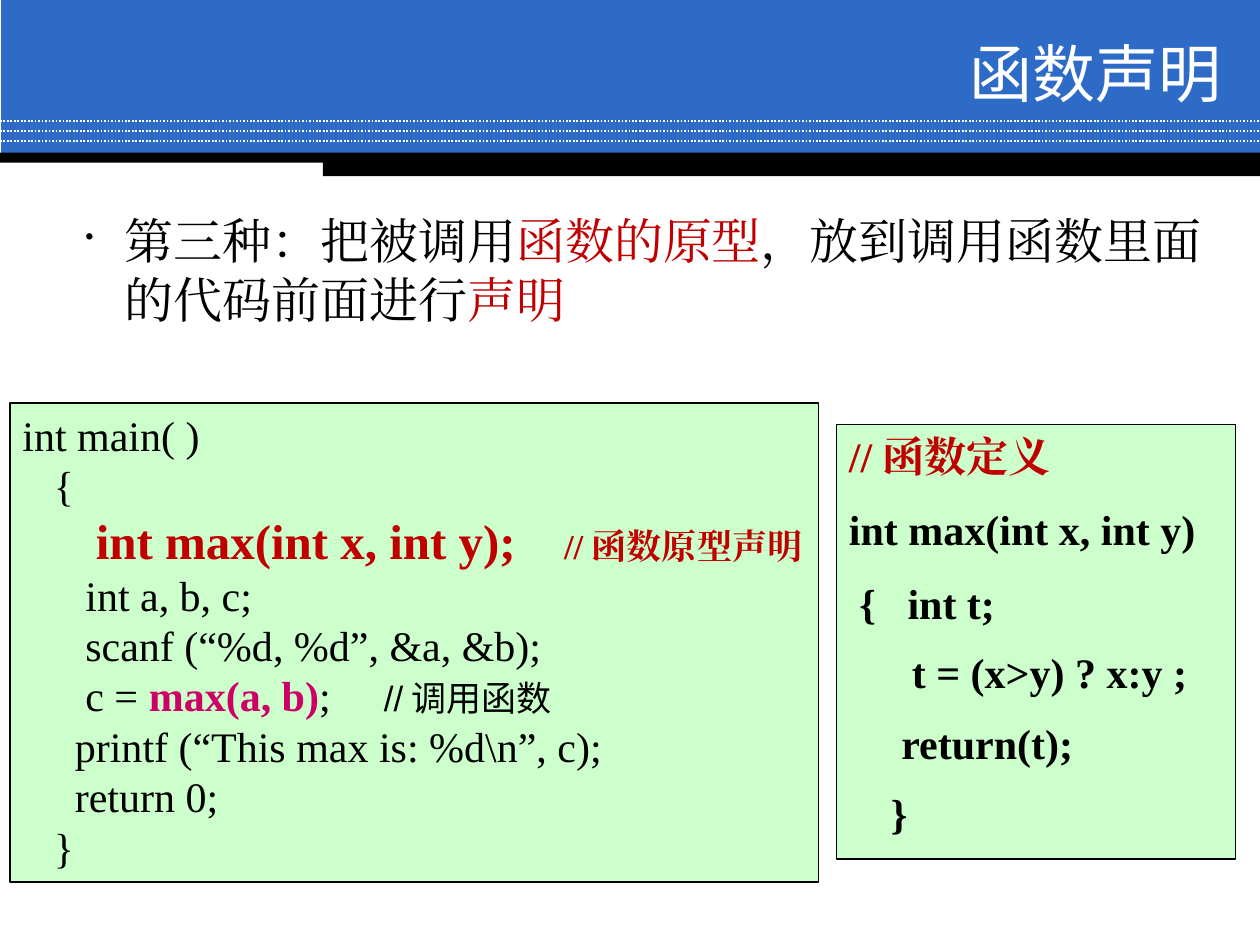
from lxml.etree import SubElement
from pptx import Presentation
from pptx.dml.color import RGBColor
from pptx.enum.dml import MSO_LINE
from pptx.enum.shapes import MSO_CONNECTOR, MSO_SHAPE
from pptx.enum.text import MSO_ANCHOR, PP_ALIGN
from pptx.oxml.ns import qn
from pptx.util import Pt

COLORS = {
    "banner": "2D6BC7", "white": "FFFFFF", "black": "000000",
    "code": "CCFFCC", "red": "C00000", "pink": "CC0066",
}
SERIF, SANS, CJK = "Times New Roman", "Arial", "Noto Sans CJK SC"


def rgb(name):
    return RGBColor.from_string(COLORS[name])


def add_run(paragraph, text, size=24, color="black", bold=False, font=SERIF):
    run = paragraph.add_run()
    run.text = text
    run.font.size = Pt(size)
    run.font.bold = bold
    run.font.color.rgb = rgb(color)
    run.font.name = font
    # East Asian characters follow the same font as the Latin ones
    SubElement(run.font._element, qn("a:ea"), typeface=font)


def add_rect(slide, left, top, width, height, fill, outline=None):
    rect = slide.shapes.add_shape(
        MSO_SHAPE.RECTANGLE, Pt(left), Pt(top), Pt(width), Pt(height))
    rect.shadow.inherit = False
    rect.fill.solid()
    rect.fill.fore_color.rgb = rgb(fill)
    if outline:
        rect.line.color.rgb = rgb(outline)
        rect.line.width = Pt(1)
    else:
        rect.line.fill.background()
    return rect


def add_text_frame(slide, left, top, width, height):
    frame = slide.shapes.add_textbox(
        Pt(left), Pt(top), Pt(width), Pt(height)).text_frame
    frame.word_wrap = True
    return frame


def add_tab(paragraph, position):
    tabs = SubElement(paragraph._p.get_or_add_pPr(), qn("a:tabLst"))
    SubElement(tabs, qn("a:tab"), pos=str(Pt(position)), algn="l")


def add_banner(slide, left, top, width, height):
    add_rect(slide, left + 0.7, top, width - 0.7, height, "banner")
    for row in range(3):
        y = top + 69.2 + row * 5.7
        dots = slide.shapes.add_connector(
            MSO_CONNECTOR.STRAIGHT, Pt(left), Pt(y), Pt(left + width), Pt(y))
        dots.line.color.rgb = rgb("white")
        dots.line.width = Pt(1)
        dots.line.dash_style = MSO_LINE.ROUND_DOT
        SubElement(dots._element.spPr, qn("a:effectLst"))
    add_rect(slide, left, top + 87.3, width, 5.6, "black")
    add_rect(slide, left + 184.5, top + 89.3, width - 184.5, 11.4, "black")


def add_title(slide, left, top, width, height):
    frame = add_text_frame(slide, left, top, width, height)
    frame.vertical_anchor = MSO_ANCHOR.MIDDLE
    title = frame.paragraphs[0]
    title.alignment = PP_ALIGN.RIGHT
    add_run(title, "函数声明", size=36, color="white", font=CJK)


def add_explanation(slide, left, top, width, height):
    explanation = add_text_frame(slide, left, top, width, height).paragraphs[0]
    properties = explanation._p.get_or_add_pPr()
    properties.set("marL", str(Pt(58.5)))
    properties.set("indent", str(Pt(-22.5)))
    SubElement(properties, qn("a:buSzPct"), val="50000")
    SubElement(properties, qn("a:buChar"), char="•")
    for text, color in [
        ("第三种：把被调用", "black"), ("函数的原型", "red"),
        ("，放到调用函数里面的代码前面进行", "black"), ("声明", "red"),
    ]:
        add_run(explanation, text, size=28, color=color)


def add_code(slide, box, lines, gap=0):
    """Each line is (runs, tab position or None, line spacing or None)."""
    frame = add_rect(slide, *box, "code", outline="black").text_frame
    frame.word_wrap = True
    frame.vertical_anchor = MSO_ANCHOR.TOP
    for index, (runs, tab, spacing) in enumerate(lines):
        line = frame.add_paragraph() if index else frame.paragraphs[0]
        line.alignment = PP_ALIGN.LEFT
        if tab:
            add_tab(line, tab)
        if spacing:
            line.line_spacing = spacing
        if index and gap:
            line.space_before = Pt(gap)
        for text, style in runs:
            add_run(line, text, **style)


def add_main_code(slide, *box):
    def plain(text):
        return [(text, {})], None, None

    declaration = [
        ("      ", {"size": 28}),
        ("int max(int x, int y);\t", {"size": 28, "color": "red", "bold": True}),
        ("//函数原型声明", {"size": 20, "color": "red", "bold": True}),
    ]
    call = [
        ("      c = ", {}),
        ("max(a, b)", {"color": "pink", "bold": True}),
        (";\t", {}),
        ("//调用函数", {"size": 20, "font": SANS}),
    ]
    add_code(slide, box, [
        plain("int main( )"),
        plain("   {"),
        (declaration, 309.5, None),
        plain("      int a, b, c;"),
        plain("      scanf (“%d, %d”, &a, &b);"),
        (call, 206.5, None),
        plain("     printf (“This max is: %d\\n”, c);"),
        plain("     return 0;"),
        plain("   }"),
    ])


def add_definition_code(slide, *box):
    def bold(text, color="black", tab=None, spacing=None):
        return [(text, {"bold": True, "color": color})], tab, spacing

    add_code(slide, box, [
        bold("//函数定义", color="red"),
        bold("int max(int x, int y)"),
        bold(" {\tint t;", tab=33.5),
        bold("      t = (x>y) ? x:y ;", spacing=0.95),
        bold("     return(t);", spacing=0.95),
        bold("    }", spacing=0.95),
    ], gap=13)


def main():
    deck = Presentation()
    deck.slide_width, deck.slide_height = Pt(720), Pt(540)
    slide = deck.slides.add_slide(deck.slide_layouts[6])
    add_banner(slide, 0, 0, 720, 88.5)
    add_main_code(slide, 5.75, 230.4, 462, 273.6)
    add_definition_code(slide, 478, 242.6, 228, 248.4)
    add_explanation(slide, 5.75, 116.6, 705.6, 90.7)
    add_title(slide, 206.6, 20.2, 498.2, 41.8)
    deck.save("out.pptx")


if __name__ == "__main__":
    main()
